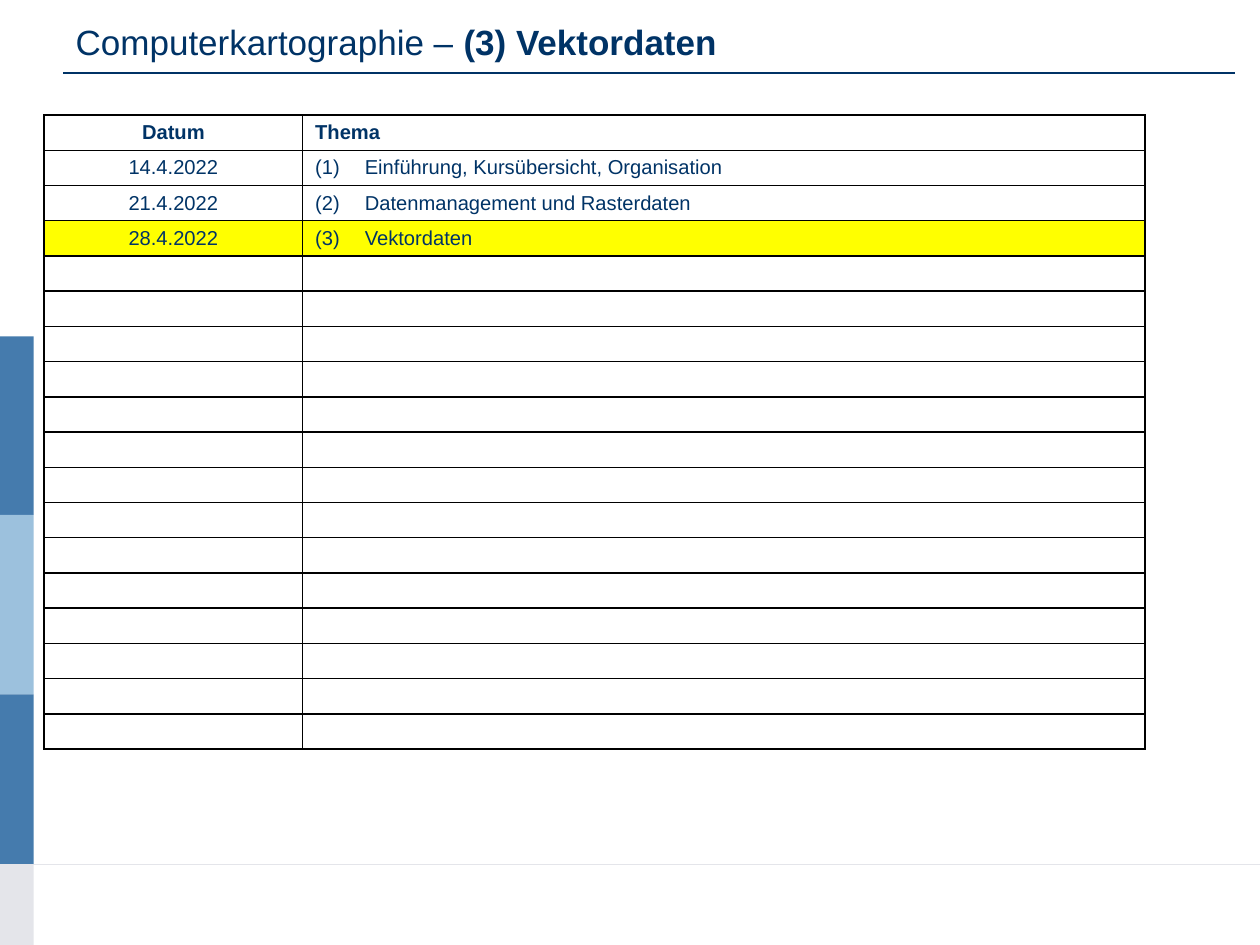
from lxml.etree import SubElement
from pptx import Presentation
from pptx.dml.color import RGBColor
from pptx.enum.shapes import MSO_CONNECTOR, MSO_SHAPE
from pptx.enum.text import MSO_ANCHOR, PP_ALIGN
from pptx.oxml.ns import qn
from pptx.util import Cm, Pt

NAVY = RGBColor(0x00, 0x33, 0x66)
BLUE = RGBColor(0x45, 0x7B, 0xAD)
LIGHT_BLUE = RGBColor(0x9C, 0xC1, 0xDD)
GREY = RGBColor(0xE4, 0xE5, 0xEA)
YELLOW = RGBColor(0xFF, 0xFF, 0x00)
BLACK = RGBColor(0x00, 0x00, 0x00)

ROW_COUNT = 18
SCHEDULE = [
    ("Datum", "Thema"),
    ("14.4.2022", "(1)\tEinführung, Kursübersicht, Organisation"),
    ("21.4.2022", "(2)\tDatenmanagement und Rasterdaten"),
    ("28.4.2022", "(3)\tVektordaten"),
]
CURRENT_ROW = 3


class Deck:
    font = "Arial"
    title_size = Pt(20)
    cell_size = Pt(11.5)

    def __init__(self, prs):
        self.s = prs.slides.add_slide(prs.slide_layouts[5])

    def style(self, p, size, bold=None):
        p.font.name = self.font
        p.font.size = size
        p.font.color.rgb = NAVY
        p.font.bold = bold

    def title(self, x, y, w, h, parts):
        sp = self.s.shapes.title
        sp.left, sp.top, sp.width, sp.height = Cm(x), Cm(y), Cm(w), Cm(h)
        tf = sp.text_frame
        tf.vertical_anchor = MSO_ANCHOR.MIDDLE
        p = tf.paragraphs[0]
        p.alignment = PP_ALIGN.LEFT
        self.style(p, self.title_size)
        for text, bold in parts:
            r = p.add_run()
            r.text = text
            r.font.bold = bold

    def bar(self, x, y, w, h, color):
        sp = self.s.shapes.add_shape(MSO_SHAPE.RECTANGLE, Cm(x), Cm(y), Cm(w), Cm(h))
        sp.shadow.inherit = False
        sp.fill.solid()
        sp.fill.fore_color.rgb = color
        sp.line.fill.background()

    def rule(self, x1, x2, y, color, width):
        line = self.s.shapes.add_connector(
            MSO_CONNECTOR.STRAIGHT, Cm(x1), Cm(y), Cm(x2), Cm(y))
        line.line.color.rgb = color
        line.line.width = Pt(width)
        SubElement(line._element.spPr, qn("a:effectLst"))

    def borders(self, cell):
        tc_pr = cell._tc.get_or_add_tcPr()
        for side in ("a:lnL", "a:lnR", "a:lnT", "a:lnB"):
            ln = SubElement(tc_pr, qn(side), w=str(Pt(1)))
            fill = SubElement(ln, qn("a:solidFill"))
            SubElement(fill, qn("a:srgbClr"), val=str(BLACK))

    def cell(self, cell, text, align, bold, fill):
        self.borders(cell)
        if fill is None:
            cell.fill.background()
        else:
            cell.fill.solid()
            cell.fill.fore_color.rgb = fill
        cell.vertical_anchor = MSO_ANCHOR.MIDDLE
        cell.margin_top = cell.margin_bottom = Cm(0.05)
        p = cell.text_frame.paragraphs[0]
        if text:
            p.add_run().text = text
            p.alignment = align
            self.style(p, self.cell_size, bold)
            if "\t" in text:
                p_pr = p._p.get_or_add_pPr()
                p_pr.set("marL", str(Cm(1)))
                p_pr.set("indent", str(-Cm(1)))
        else:
            # An empty cell takes its line height from the end mark
            SubElement(p._p, qn("a:endParaRPr"), sz=str(int(self.cell_size.pt * 100)))

    def table(self, x, y, widths, row_height, rows, row_count, current):
        table = self.s.shapes.add_table(
            row_count, len(widths), Cm(x), Cm(y),
            Cm(sum(widths)), Cm(row_height * row_count)).table
        table.first_row = table.horz_banding = False
        for column, width in zip(table.columns, widths):
            column.width = Cm(width)
        for i, row in enumerate(table.rows):
            row.height = Cm(row_height)
            texts = rows[i] if i < len(rows) else ("", "")
            fill = YELLOW if i == current else None
            for cell, text, align in zip(row.cells, texts, (PP_ALIGN.CENTER, PP_ALIGN.LEFT)):
                self.cell(cell, text, align, i == 0, fill)


def main():
    prs = Presentation()
    prs.slide_width, prs.slide_height = Cm(25.4), Cm(19.05)
    deck = Deck(prs)

    # Side strip and footer line
    deck.rule(0, 25.4, 17.42, GREY, 0.5)
    edges = (6.78, 10.38, 14, 17.42, 19.05)
    for top, bottom, color in zip(edges, edges[1:], (BLUE, LIGHT_BLUE, BLUE, GREY)):
        deck.bar(0, top, 0.68, bottom - top, color)

    # Heading
    deck.title(1.27, 0.13, 22.86, 1.4,
               [("Computerkartographie – ", False), ("(3) Vektordaten", True)])
    deck.rule(1.27, 24.89, 1.47, NAVY, 0.75)

    # Course schedule
    deck.table(0.89, 2.32, (5.21, 16.98), 0.71, SCHEDULE, ROW_COUNT, CURRENT_ROW)

    prs.save("out.pptx")


if __name__ == "__main__":
    main()
